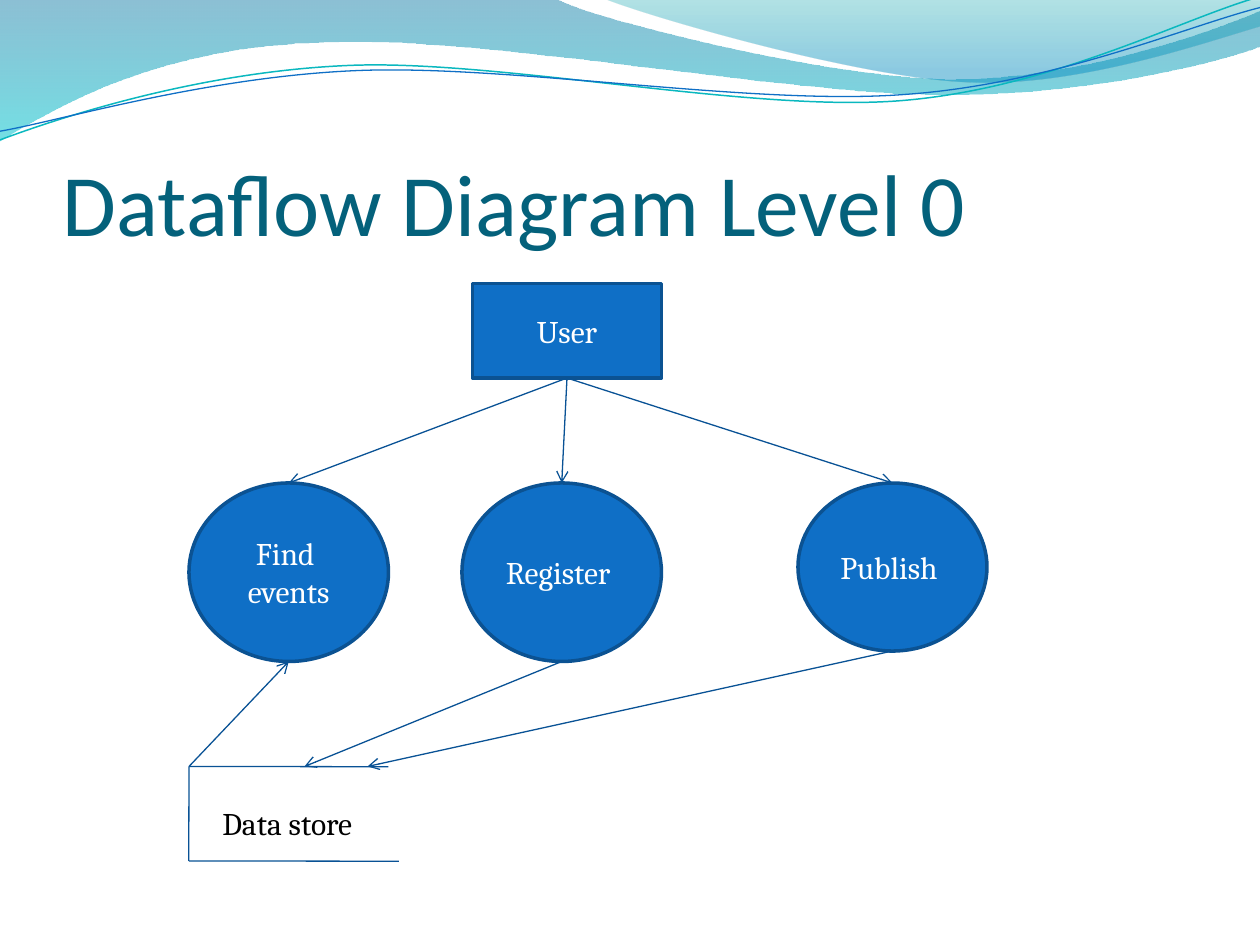
"""Build the level 0 dataflow diagram slide."""
from pptx import Presentation
from pptx.dml.color import RGBColor
from pptx.enum.shapes import MSO_CONNECTOR, MSO_SHAPE
from pptx.enum.text import MSO_ANCHOR, PP_ALIGN
from pptx.oxml.ns import qn
from pptx.oxml.xmlchemy import OxmlElement
from pptx.util import Pt

RECT, CIRCLE = MSO_SHAPE.RECTANGLE, MSO_SHAPE.FLOWCHART_CONNECTOR
STRAIGHT = MSO_CONNECTOR.STRAIGHT
MIDDLE, BOTTOM = MSO_ANCHOR.MIDDLE, MSO_ANCHOR.BOTTOM
CENTER = PP_ALIGN.CENTER

COLORS = {
    "title": "04617B", "node": "0F6FC6", "edge": "0B5292", "flow": "095295",
    "white": "FFFFFF", "black": "000000", "teal": "0AB8BF",
    "wave_top": "0074A1", "wave_end": "00C6CF",
    "crest_top": "00A1A9", "crest_end": "008BBF",
}
RGB = {name: RGBColor.from_string(value) for name, value in COLORS.items()}


def add_curve(start, segments, close):
    pts = [(Pt(x), Pt(y)) for seg in segments for x, y in zip(seg[::2], seg[1::2])]
    fb = s.shapes.build_freeform(Pt(start[0]), Pt(start[1]), scale=1.0)
    fb.add_line_segments(pts, close=close)
    sp = fb.convert_to_shape()
    sp.shadow.inherit = False
    steps = iter(list(sp._element.iter(qn("a:lnTo"))))
    for seg in segments:
        first = next(steps)
        if len(seg) == 6:
            curve = OxmlElement("a:cubicBezTo")
            first.addprevious(curve)
            for step in (first, next(steps), next(steps)):
                curve.append(step[0])
                step.getparent().remove(step)
    return sp


def add_text(sp, text, font, size, color):
    p = sp.text_frame.paragraphs[0]
    r = p.add_run()
    r.text = text
    r.font.name, r.font.size = font, Pt(size)
    r.font.color.rgb = RGB[color]
    return p


prs = Presentation()
prs.slide_width, prs.slide_height = Pt(720), Pt(540)
s = prs.slides.add_slide(prs.slide_layouts[6])

waves = [
    ((0, 0), [(317, -1), (343, 12, 478, 45, 546, 45), (614, 45, 690, 19, 720, 6),
              (721, 26), (708, 32, 626, 55, 537, 54), (448, 54, 275, 20, 185, 24),
              (93, 26, 33, 60, -1, 81)],
     [("wave_top", 0, 45), ("wave_end", 1, 55)]),
    ((345, -1), [(366, 8, 491, 45, 554, 47), (616, 50, 692, 23, 720, 15), (720, 0)],
     [("crest_top", 0, 30), ("crest_end", 0.8, 45)]),
]
for start, segments, stops in waves:
    sp = add_curve(start, segments, True)
    sp.line.fill.background()
    sp.fill.gradient()
    sp.fill.gradient_angle = 270
    for stop, (color, position, opacity) in zip(sp.fill.gradient_stops, stops):
        stop.color.rgb = RGB[color]
        stop.position = position
    clrs = sp._element.spPr.find(qn("a:gradFill")).iter(qn("a:srgbClr"))
    for clr, (color, position, opacity) in zip(clrs, stops):
        alpha = OxmlElement("a:alpha")
        alpha.set("val", str(opacity * 1000))
        clr.append(alpha)

ripples = [
    ((-1.4, 63), [(33.8, 51.7, 114.1, 29.4, 199.8, 29.9),
                  (284.9, 30.3, 425.8, 67.3, 512.4, 64.9),
                  (599, 62.4, 676.5, 25.7, 720.2, 15.5)], "teal", 0.85),
    ((-1.1, 58), [(32.9, 53.8, 118.3, 32.5, 204.1, 33),
                  (290.6, 33.4, 428.9, 63.8, 515.5, 61.4),
                  (601.3, 59.6, 678.4, 30.1, 721.4, 21.3)], "node", 0.75),
]
for start, segments, color, width in ripples:
    sp = add_curve(start, segments, False)
    sp.rotation = 357.3
    sp.fill.background()
    sp.line.color.rgb = RGB[color]
    sp.line.width = Pt(width)

title = s.shapes.add_textbox(Pt(36), Pt(55.2), Pt(654), Pt(90))
tf = title.text_frame
tf.word_wrap = True
tf.vertical_anchor = BOTTOM
tf.margin_left = tf.margin_right = tf.margin_bottom = 0
add_text(title, "Dataflow Diagram Level 0", "Calibri", 50, "title")

nodes = [
    ("User", RECT, 270, 162, 108, 54),
    ("Find  events", CIRCLE, 108, 276, 114, 102),
    ("Register  ", CIRCLE, 264, 276, 114, 102),
    ("Publish  ", CIRCLE, 456, 276, 108, 96),
]
tops, bottoms = [], []
for text, kind, x, y, w, h in nodes:
    sp = s.shapes.add_shape(kind, Pt(x), Pt(y), Pt(w), Pt(h))
    sp.shadow.inherit = False
    sp.fill.solid()
    sp.fill.fore_color.rgb = RGB["node"]
    sp.line.color.rgb = RGB["edge"]
    sp.line.width = Pt(2)
    sp.text_frame.word_wrap = True
    sp.text_frame.vertical_anchor = MIDDLE
    add_text(sp, text, "Cambria", 18, "white").alignment = CENTER
    tops.append((x + w / 2, y))
    bottoms.append((x + w / 2, y + h))

store = s.shapes.add_textbox(Pt(120), Pt(456), Pt(94), Pt(29))
store.text_frame.word_wrap = False
add_text(store, "Data store", "Cambria", 18, "black")

user, find, register, publish = bottoms
left, top, bottom, skew = 108, 438, 492, 0.13
lines = [(user, process, True) for process in tops[1:]]
lines += [
    ((left, top), (left - skew, bottom), False),
    ((left, top), (222, top + skew), False),
    ((left, bottom), (228, bottom + skew), False),
    ((left, top), find, True),
    (register, (174, top), True),
    (publish, (210, top), True),
]
for start, end, arrow in lines:
    cxn = s.shapes.add_connector(STRAIGHT, *[Pt(v) for v in start + end])
    cxn.line.color.rgb = RGB["flow"]
    cxn.line.width = Pt(0.75)
    if arrow:
        tail = OxmlElement("a:tailEnd")
        tail.set("type", "arrow")
        cxn.line._get_or_add_ln().append(tail)
    cxn._element.spPr.append(OxmlElement("a:effectLst"))

prs.save("out.pptx")
